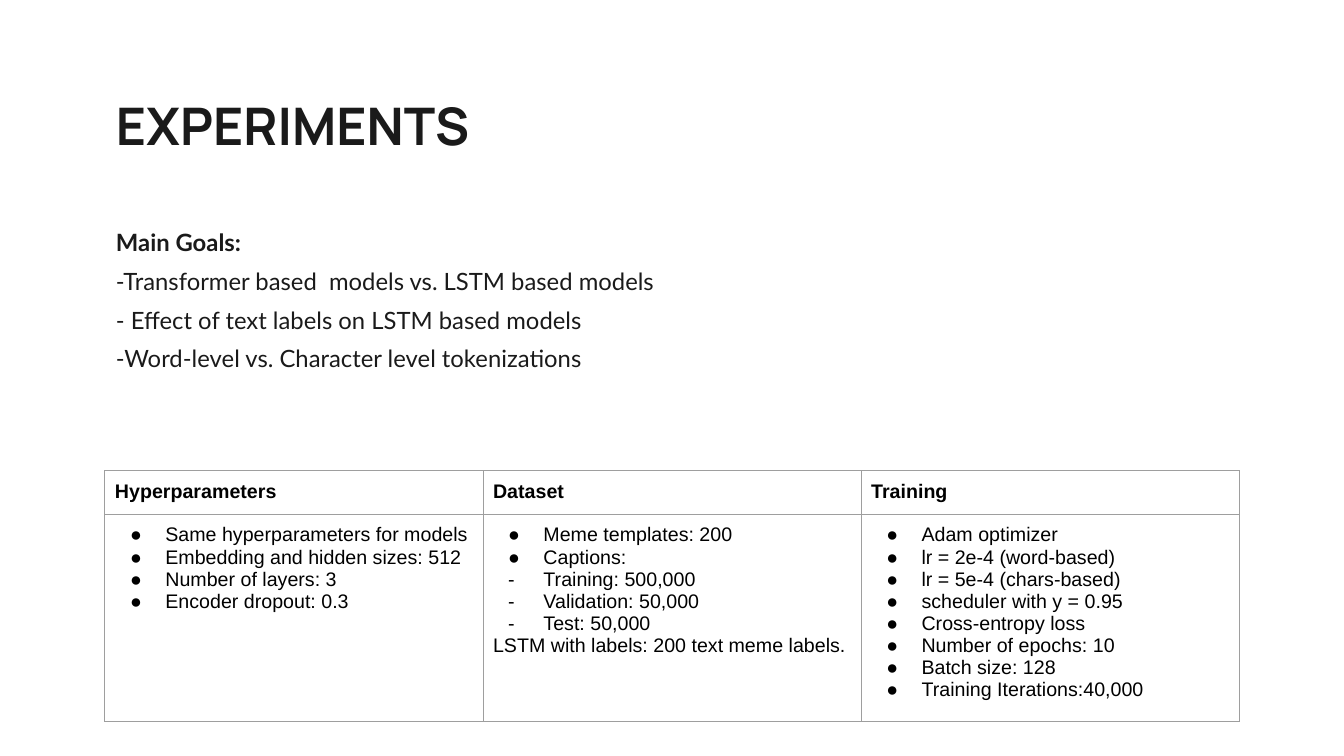
"""Build the Experiments slide with its goals and a table of settings."""
from lxml.etree import SubElement
from pptx import Presentation
from pptx.dml.color import RGBColor
from pptx.enum.text import MSO_ANCHOR, MSO_AUTO_SIZE, PP_ALIGN
from pptx.oxml.ns import qn
from pptx.util import Inches, Pt

INK, BLACK, GREY = "1A1A1A", "000000", "9E9E9E"
GOALS = [
    "Main Goals:",
    "-Transformer based  models vs. LSTM based models",
    "- Effect of text labels on LSTM based models",
    "-Word-level vs. Character level tokenizations",
]
COLUMNS = {
    "Hyperparameters": [
        ("●", "Same hyperparameters for models"),
        ("●", "Embedding and hidden sizes: 512"),
        ("●", "Number of layers: 3"),
        ("●", "Encoder dropout: 0.3"),
    ],
    "Dataset": [
        ("●", "Meme templates: 200"),
        ("●", "Captions:"),
        ("-", "Training: 500,000"),
        ("-", "Validation: 50,000"),
        ("-", "Test: 50,000"),
        ("", "LSTM with labels: 200 text meme labels."),
    ],
    "Training": [
        ("●", "Adam optimizer"),
        ("●", "lr = 2e-4 (word-based)"),
        ("●", "lr = 5e-4 (chars-based)"),
        ("●", "scheduler with y = 0.95"),
        ("●", "Cross-entropy loss"),
        ("●", "Number of epochs: 10"),
        ("●", "Batch size: 128"),
        ("●", "Training Iterations:40,000"),
    ],
}


def style(paragraph, name, size, color, bold=False):
    font = paragraph.font
    font.name, font.size, font.bold = name, Pt(size), bold
    font.color.rgb = RGBColor.from_string(color)
    paragraph.alignment = PP_ALIGN.LEFT


def set_bullet(paragraph, mark, left=0, hanging=0):
    properties = paragraph._p.get_or_add_pPr()
    properties.set("marL", str(Inches(left)))
    properties.set("indent", str(Inches(-hanging)))
    if mark:
        color = SubElement(properties, qn("a:buClr"))
        SubElement(color, qn("a:srgbClr"), val=BLACK)
        SubElement(properties, qn("a:buFont"), typeface="Arial")
        SubElement(properties, qn("a:buChar"), char=mark)
    else:
        SubElement(properties, qn("a:buNone"))


deck = Presentation()
deck.slide_width, deck.slide_height = Inches(13.33), Inches(7.5)
page = deck.slides.add_slide(deck.slide_layouts[1])

title, body = page.shapes.title, page.placeholders[1]
for box, top, height, anchor in [
    (title, 0.35, 1.86, MSO_ANCHOR.MIDDLE),
    (body, 2.21, 4.96, MSO_ANCHOR.TOP),
]:
    box.left, box.top = Inches(1.05), Inches(top)
    box.width, box.height = Inches(11.23), Inches(height)
    box.text_frame.word_wrap = True
    box.text_frame.auto_size = MSO_AUTO_SIZE.NONE
    box.text_frame.vertical_anchor = anchor

title.text_frame.text = "EXPERIMENTS"
heading = title.text_frame.paragraphs[0]
heading.line_spacing = 0.9
style(heading, "Manrope", 37, INK, bold=True)

body.text_frame.text = "\n".join(GOALS)
for index, paragraph in enumerate(body.text_frame.paragraphs):
    set_bullet(paragraph, "")
    paragraph.line_spacing = 1.01
    paragraph.space_before = Pt(7 if index else 0)
    style(paragraph, "Lato", 17, INK, bold=index == 0)

table = page.shapes.add_table(
    2, len(COLUMNS), Inches(1.04), Inches(4.67), Inches(11.25), Inches(2.49)
).table
table.first_row = table.horz_banding = False
table.rows[0].height, table.rows[1].height = Inches(0.43), Inches(2.06)

for column, (header, items) in enumerate(COLUMNS.items()):
    table.columns[column].width = Inches(3.75)
    for row, entries in enumerate([[("", header)], items]):
        cell = table.cell(row, column)
        cell.margin_left = cell.margin_right = Inches(0.1)
        cell.margin_top = cell.margin_bottom = Inches(0.1)
        cell.vertical_anchor = MSO_ANCHOR.TOP
        for side in ("a:lnL", "a:lnR", "a:lnT", "a:lnB"):
            border = SubElement(cell._tc.get_or_add_tcPr(), qn(side), w=str(Pt(0.75)))
            fill = SubElement(border, qn("a:solidFill"))
            SubElement(fill, qn("a:srgbClr"), val=GREY)
        cell.fill.background()
        cell.text_frame.text = "\n".join(text for mark, text in entries)
        for paragraph, (mark, text) in zip(cell.text_frame.paragraphs, entries):
            if mark:
                set_bullet(paragraph, mark, 0.5, 0.35)
            style(paragraph, "Arial", 14, BLACK, bold=row == 0)

deck.save("out.pptx")
